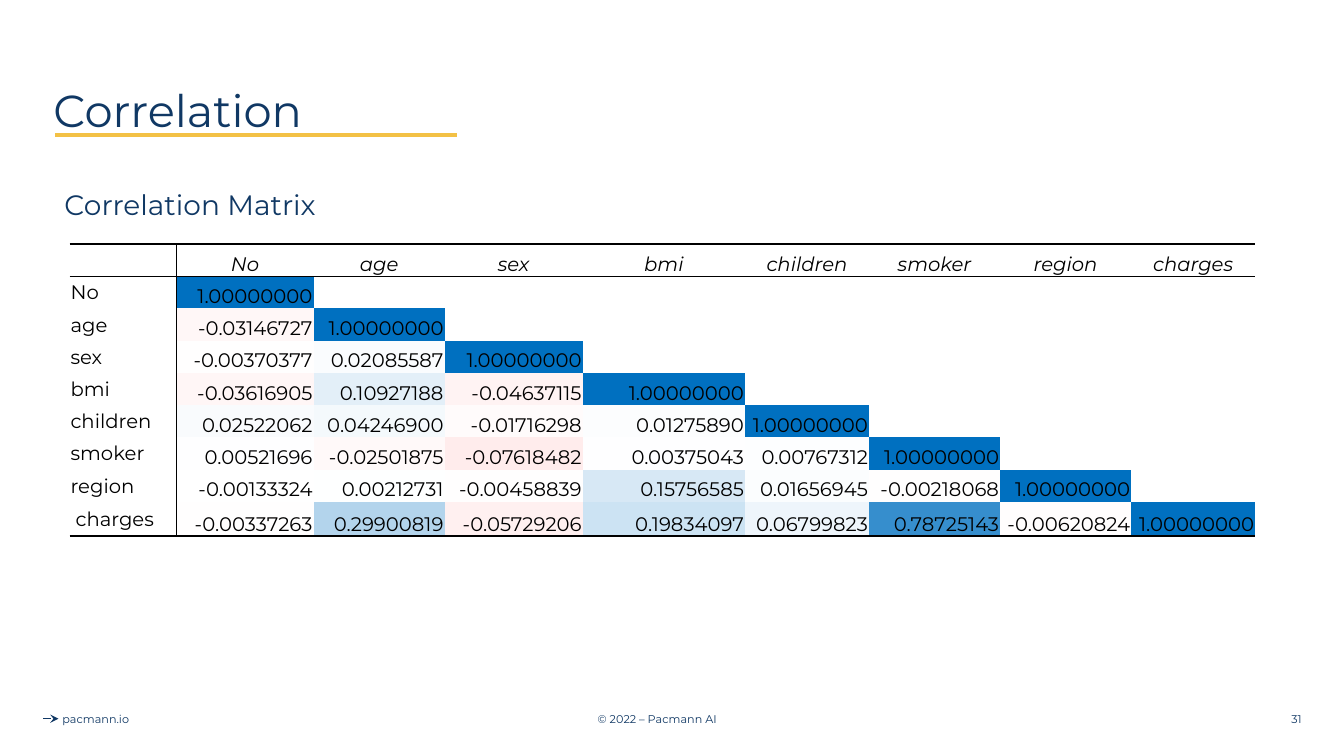
from lxml.etree import SubElement
from pptx import Presentation
from pptx.dml.color import RGBColor
from pptx.enum.shapes import MSO_CONNECTOR
from pptx.enum.text import MSO_ANCHOR as Anchor, PP_ALIGN as Align
from pptx.oxml.ns import qn
from pptx.util import Inches, Pt

FONT = "Montserrat"
NAVY, GOLD, BLACK = "103864", "F3C145", "000000"
POSITIVE, NEGATIVE = (0x00, 0x70, 0xC0), (0xFF, 0x00, 0x00)

VARIABLES = ["No", "age", "sex", "bmi", "children", "smoker", "region", "charges"]
CORRELATIONS = [
    [],
    [-0.03146727],
    [-0.00370377, 0.02085587],
    [-0.03616905, 0.10927188, -0.04637115],
    [0.02522062, 0.04246900, -0.01716298, 0.01275890],
    [0.00521696, -0.02501875, -0.07618482, 0.00375043, 0.00767312],
    [-0.00133324, 0.00212731, -0.00458839, 0.15756585, 0.01656945, -0.00218068],
    [-0.00337263, 0.29900819, -0.05729206, 0.19834097, 0.06799823, 0.78725143,
     -0.00620824],
]
COLUMN_WIDTHS = [1.06, 1.36, 1.3, 1.37, 1.61, 1.23, 1.3, 1.3, 1.23]
ROW_HEIGHTS = [0.32] * 8 + [0.34]


def color(value):
    return RGBColor.from_string(value)


def heat_color(value):
    target = POSITIVE if value > 0 else NEGATIVE
    return "".join(f"{round(255 - (255 - part) * abs(value)):02X}" for part in target)


def write(frame, text, size, shade, align=Align.LEFT, italic=False):
    para = frame.paragraphs[0]
    para.text = text
    para.alignment = align
    for span in para.runs:
        span.font.name = FONT
        span.font.size = Pt(size)
        span.font.italic = italic
        span.font.color.rgb = color(shade)
    return para


def add_text(slide, text, left, top, width, height, size, align=Align.LEFT,
             anchor=Anchor.MIDDLE):
    box = slide.shapes.add_textbox(Inches(left), Inches(top), Inches(width), Inches(height))
    frame = box.text_frame
    frame.word_wrap = True
    frame.vertical_anchor = anchor
    write(frame, text, size, NAVY, align)
    return frame


def add_line(slide, left, right, y, shade, weight, arrow=False):
    line = slide.shapes.add_connector(
        MSO_CONNECTOR.STRAIGHT, Inches(left), Inches(y), Inches(right), Inches(y))
    line.line.color.rgb = color(shade)
    line.line.width = Pt(weight)
    if arrow:
        SubElement(line.line._get_or_add_ln(), qn("a:tailEnd"), type="stealth")
    SubElement(line._element.spPr, qn("a:effectLst"))


def add_title(slide, text):
    title = slide.shapes.title
    title.left, title.top = Inches(0.43), Inches(0.4)
    title.width, title.height = Inches(12.47), Inches(1.45)
    title.text_frame.vertical_anchor = Anchor.MIDDLE
    write(title.text_frame, text, 32, NAVY).line_spacing = 0.9


def set_borders(cell, row, column):
    last = len(VARIABLES)
    weights = {
        "L": 0.5 if column == 1 else 0,
        "R": 0.5 if column == 0 else 0,
        "T": {0: 1, 1: 0.5}.get(row, 0),
        "B": {0: 0.5, last: 1}.get(row, 0),
    }
    properties = cell._tc.get_or_add_tcPr()
    for side, weight in weights.items():
        border = SubElement(properties, qn(f"a:ln{side}"), w=str(Pt(weight)))
        if weight:
            fill = SubElement(border, qn("a:solidFill"))
            SubElement(fill, qn("a:srgbClr"), val=BLACK)
        else:
            SubElement(border, qn("a:noFill"))


def fill_cell(cell, row, column):
    cell.margin_left = cell.margin_right = cell.margin_top = Inches(0.01)
    cell.margin_bottom = 0
    cell.vertical_anchor = Anchor.BOTTOM
    set_borders(cell, row, column)
    cell.fill.background()
    frame = cell.text_frame
    if row == 0 and column:
        write(frame, VARIABLES[column - 1], 14, BLACK, Align.CENTER, italic=True)
    elif row and column == 0:
        cell.vertical_anchor = Anchor.MIDDLE
        if row == len(VARIABLES):
            cell.margin_left = Inches(0.06)
        write(frame, VARIABLES[row - 1], 14, BLACK)
    elif 0 < column <= row:
        value = (CORRELATIONS[row - 1] + [1])[column - 1]
        write(frame, f"{value:.8f}", 14, BLACK, Align.RIGHT)
        cell.fill.solid()
        cell.fill.fore_color.rgb = color(heat_color(value))
    else:
        SubElement(frame.paragraphs[0]._p, qn("a:endParaRPr"), sz="1400")


def add_matrix(slide):
    table = slide.shapes.add_table(
        len(ROW_HEIGHTS), len(COLUMN_WIDTHS), Inches(0.69), Inches(2.42),
        Inches(sum(COLUMN_WIDTHS)), Inches(sum(ROW_HEIGHTS))).table
    table.first_row = table.horz_banding = False
    for column, width in zip(table.columns, COLUMN_WIDTHS):
        column.width = Inches(width)
    for row_index, (row, height) in enumerate(zip(table.rows, ROW_HEIGHTS)):
        row.height = Inches(height)
        for column_index, cell in enumerate(row.cells):
            fill_cell(cell, row_index, column_index)


def add_footer(slide):
    add_line(slide, 0.43, 0.58, 7.13, NAVY, 0.75, arrow=True)
    add_text(slide, "pacmann.io", 0.2, 6.93, 1.5, 0.4, 8, Align.CENTER)
    add_text(slide, "© 2022 – Pacmann AI", 4.27, 6.93, 4.5, 0.4, 8, Align.CENTER)
    add_text(slide, "31", 10.01, 6.93, 3, 0.4, 8, Align.RIGHT)


def main():
    deck = Presentation()
    deck.slide_width, deck.slide_height = Inches(13.33), Inches(7.5)
    slide = deck.slides.add_slide(deck.slide_layouts[5])
    add_footer(slide)
    add_line(slide, 0.55, 4.53, 1.34, GOLD, 2.25)
    add_title(slide, "Correlation")
    subtitle = add_text(slide, "Correlation Matrix", 0.43, 1.81, 12.46, 0.44, 20,
                        anchor=Anchor.TOP)
    subtitle.margin_left = Inches(0.21)
    add_matrix(slide)
    deck.save("out.pptx")


if __name__ == "__main__":
    main()
